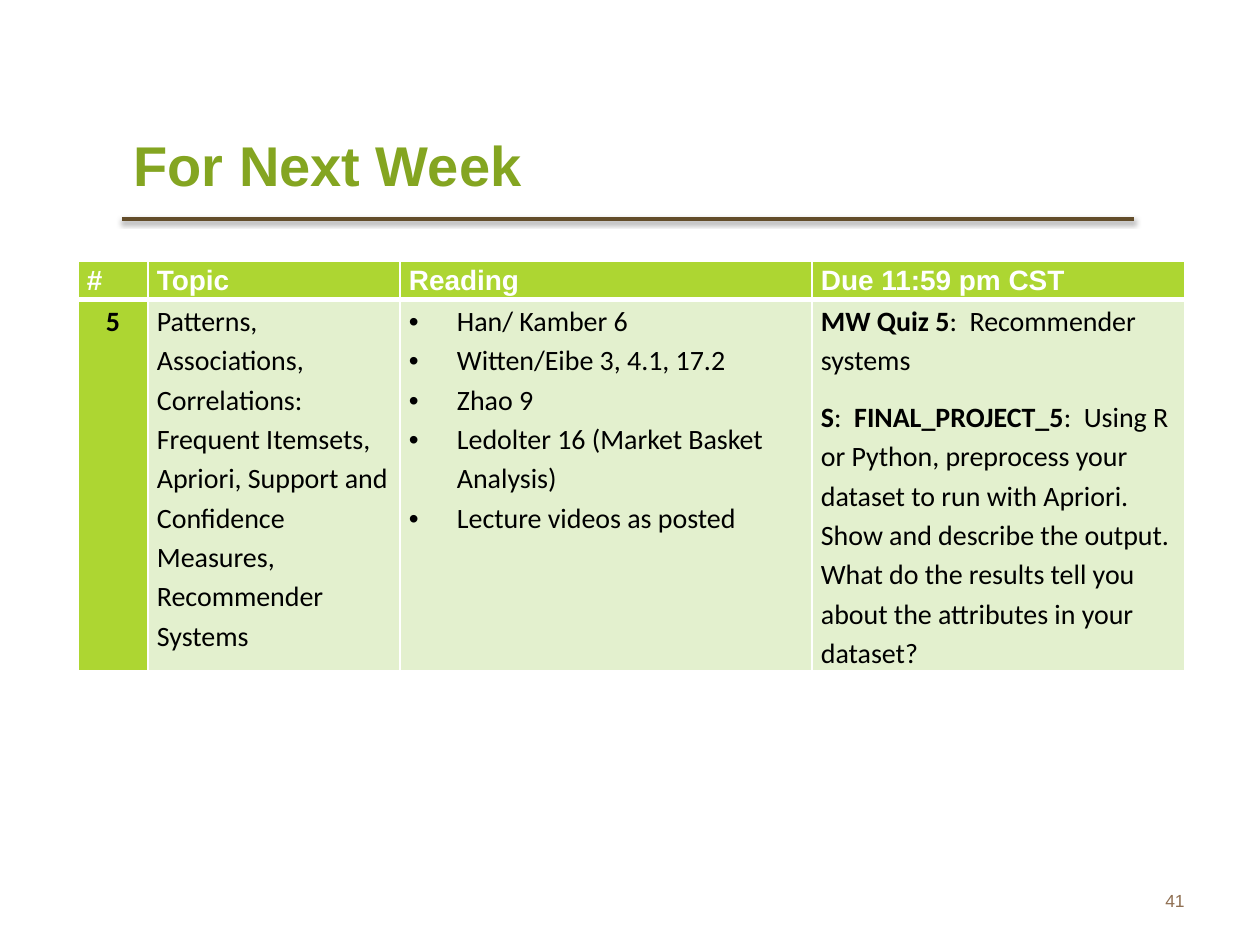
from lxml import etree
from pptx import Presentation
from pptx.dml.color import RGBColor
from pptx.enum.shapes import MSO_CONNECTOR
from pptx.enum.text import MSO_ANCHOR, PP_ALIGN
from pptx.oxml.ns import qn
from pptx.util import Emu, Pt

STRAIGHT = MSO_CONNECTOR.STRAIGHT
MIDDLE = MSO_ANCHOR.MIDDLE
LEFT, CENTER, RIGHT = PP_ALIGN.LEFT, PP_ALIGN.CENTER, PP_ALIGN.RIGHT

COLORS = {
    "title": "84A521", "rule": "634D2A", "number": "8F6F52", "accent": "ADD632",
    "body": "E3F0CE", "white": "FFFFFF", "black": "000000",
}


def px(length):
    return Emu(round(length * 914400 / 126))


def rgb(name):
    return RGBColor.from_string(COLORS[name])


def add_child(parent, tag, **attributes):
    values = {key: str(value) for key, value in attributes.items()}
    return etree.SubElement(parent, qn(tag), values)


class SlideBuilder:
    heading = {"name": "Arial", "size": Pt(16), "bold": True, "color": "white"}
    body = {"name": "Calibri", "size": Pt(16), "bold": False, "color": "black"}

    def __init__(self, slide):
        self.slide = slide

    def style(self, font, values):
        for key, value in values.items():
            if key == "color":
                font.color.rgb = rgb(value)
            else:
                setattr(font, key, value)

    def text(self, box, words, align=LEFT, **values):
        frame = self.slide.shapes.add_textbox(*map(px, box)).text_frame
        frame.word_wrap = True
        frame.vertical_anchor = MIDDLE
        paragraph = frame.paragraphs[0]
        paragraph.alignment = align
        run = paragraph.add_run()
        run.text = words
        self.style(run.font, values)

    def rule(self, left, right, y):
        line = self.slide.shapes.add_connector(STRAIGHT, px(left), px(y), px(right), px(y))
        line.line.color.rgb = rgb("rule")
        line.line.width = Pt(2)
        effects = add_child(line._element.spPr, "a:effectLst")
        shadow = add_child(effects, "a:outerShdw", blurRad=Pt(3.1), dist=Pt(1.6),
                           dir=5400000, rotWithShape=0)
        color = add_child(shadow, "a:srgbClr", val=COLORS["black"])
        add_child(color, "a:alpha", val=38000)

    def table(self, left, top, widths, heights):
        frame = self.slide.shapes.add_table(len(heights), len(widths), px(left), px(top),
                                            px(sum(widths)), px(sum(heights)))
        for column, width in zip(frame.table.columns, widths):
            column.width = px(width)
        for row, height in zip(frame.table.rows, heights):
            row.height = px(height)
        return frame.table

    def borders(self, cell, bottom):
        properties = cell._tc.get_or_add_tcPr()
        for index, side in enumerate("LRTB"):
            width = bottom if side == "B" else 1
            border = add_child(properties, f"a:ln{side}", w=Pt(width))
            fill = add_child(border, "a:solidFill")
            add_child(fill, "a:srgbClr", val=COLORS["white"])
            properties.insert(index, border)

    def cell(self, cell, paragraphs, fill, values, align=LEFT, bullet=False,
             gaps=(), bottom=1):
        margins = {"margin_left": 9, "margin_right": 9, "margin_top": 0, "margin_bottom": 0}
        for key, value in margins.items():
            setattr(cell, key, px(value))
        cell.fill.solid()
        cell.fill.fore_color.rgb = rgb(fill)
        self.borders(cell, bottom)
        frame = cell.text_frame
        for index, runs in enumerate(paragraphs):
            paragraph = frame.add_paragraph() if index else frame.paragraphs[0]
            paragraph.alignment = align
            paragraph.line_spacing = 1.15
            if index in gaps:
                paragraph.space_after = Pt(10)
            if bullet:
                properties = paragraph._p.get_or_add_pPr()
                properties.set("marL", str(px(48)))
                properties.set("indent", str(-px(48)))
                add_child(properties, "a:buFont", typeface="Arial")
                add_child(properties, "a:buChar", char="•")
            for words, bold in runs:
                run = paragraph.add_run()
                run.text = words
                self.style(run.font, {**values, "bold": bold})


def main():
    presentation = Presentation()
    presentation.slide_width, presentation.slide_height = px(1260), px(945)
    builder = SlideBuilder(presentation.slides.add_slide(presentation.slide_layouts[6]))

    builder.rule(122, 1134, 219)
    builder.text((903, 876, 294, 50), "41", RIGHT,
                 name="Arial", size=Pt(10), color="number")
    builder.text((121, 108, 727, 113), "For Next Week",
                 name="Arial", size=Pt(32), bold=True, color="title")

    schedule = builder.table(78, 261, (70, 252, 412, 373), (35, 371))
    for column, label in enumerate(("#", "Topic", "Reading", "Due 11:59 pm CST")):
        builder.cell(schedule.cell(0, column), [[(label, True)]], "accent",
                     builder.heading, bottom=3)

    topic = ("Patterns, Associations, Correlations: Frequent Itemsets, Apriori, "
             "Support and Confidence Measures, Recommender Systems")
    readings = ("Han/ Kamber 6", "Witten/Eibe 3, 4.1, 17.2", "Zhao 9",
                "Ledolter 16 (Market Basket Analysis)", "Lecture videos as posted")
    project = (":  Using R or Python, preprocess your dataset to run with Apriori.  "
               "Show and describe the output.  What do the results tell you about "
               "the attributes in your dataset?")
    assignments = [
        [("MW Quiz 5", True), (":  Recommender systems", False)],
        [("S", True), (":  ", False), ("FINAL_PROJECT_5", True), (project, False)],
    ]
    week = (
        {"paragraphs": [[("5", True)]], "fill": "accent", "align": CENTER},
        {"paragraphs": [[(topic, False)]], "fill": "body", "gaps": (0,)},
        {"paragraphs": [[(reading, False)] for reading in readings], "fill": "body",
         "bullet": True, "gaps": (4,)},
        {"paragraphs": assignments, "fill": "body", "gaps": (0, 1)},
    )
    for column, content in enumerate(week):
        builder.cell(schedule.cell(1, column), values=builder.body, **content)

    presentation.save("out.pptx")


if __name__ == "__main__":
    main()
